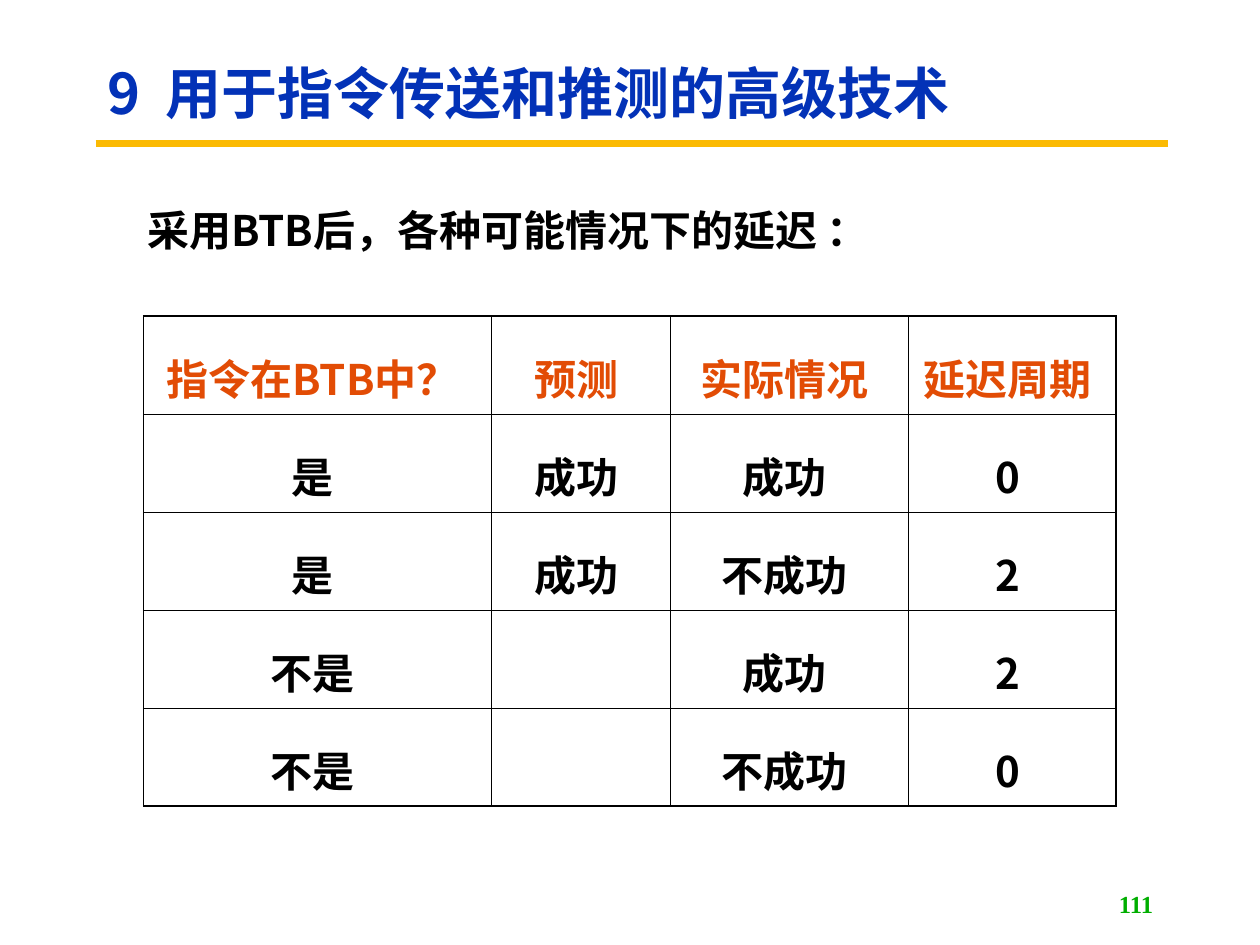
"""Build a slide on branch delays when a branch target buffer is used."""
from lxml.etree import SubElement
from pptx import Presentation
from pptx.dml.color import RGBColor
from pptx.enum.dml import MSO_FILL
from pptx.enum.shapes import MSO_CONNECTOR
from pptx.enum.text import MSO_ANCHOR, MSO_AUTO_SIZE, PP_ALIGN
from pptx.oxml import parse_xml
from pptx.oxml.ns import nsdecls, qn
from pptx.util import Inches, Pt

COLORS = {
    "title": "0332B7",
    "rule": "FBBA03",
    "number": "00AE00",
    "header": "E24C05",
    "ink": "000000",
}
CJK_FONT = "Noto Sans CJK SC"
COLUMN_WIDTHS = [2.76, 1.42, 1.89, 1.65]
ROW_HEIGHT = 0.77
OUTER_WIDTH, INNER_WIDTH = 1.08, 0.45
DELAYS = [
    ["指令在BTB中？ ", "预测 ", "实际情况 ", "延迟周期 "],
    ["是 ", "成功 ", "成功 ", "0 "],
    ["是 ", "成功 ", "不成功 ", "2 "],
    ["不是 ", "", "成功 ", "2 "],
    ["不是 ", "", "不成功 ", "0 "],
]


def color(name):
    return RGBColor.from_string(COLORS[name])


def write(paragraph, text, ink, size, font=CJK_FONT, **formats):
    for attribute, value in formats.items():
        setattr(paragraph, attribute, value)
    run = paragraph.add_run()
    run.text = text
    for attribute, value in {"name": font, "size": Pt(size), "bold": True}.items():
        setattr(run.font, attribute, value)
    run.font.color.rgb = color(ink)
    properties = run.font._element
    SubElement(properties, qn("a:ea")).set("typeface", font)
    return properties


def set_frame(frame, anchor):
    formats = {
        "word_wrap": True,
        "auto_size": MSO_AUTO_SIZE.NONE,
        "vertical_anchor": anchor,
    }
    for attribute, value in formats.items():
        setattr(frame, attribute, value)
    return frame.paragraphs[0]


def add_title(slide):
    title = slide.shapes.title
    place = {"left": 0.75, "top": 0.36, "width": 7.98, "height": 0.81}
    for attribute, value in place.items():
        setattr(title, attribute, Inches(value))
    heading = set_frame(title.text_frame, MSO_ANCHOR.MIDDLE)
    write(heading, "9", "title", 32, alignment=PP_ALIGN.LEFT, line_spacing=0.9)
    gap = write(heading, " ", "title", 32)
    gap.set("spc", "700")
    write(heading, "用于指令传送和推测的高级技术", "title", 32)


def add_rule(slide):
    rule = slide.shapes.add_connector(
        MSO_CONNECTOR.STRAIGHT, Inches(0.76), Inches(1.14), Inches(9.27), Inches(1.14)
    )
    rule.line.color.rgb = color("rule")
    rule.line.width = Pt(3.75)
    SubElement(rule._element.spPr, qn("a:effectLst"))


def add_text(slide, place, anchor, text, ink, size, **formats):
    box = slide.shapes.add_textbox(*map(Inches, place))
    write(set_frame(box.text_frame, anchor), text, ink, size, **formats)


def set_borders(cell, widths):
    properties = cell._tc.get_or_add_tcPr()
    for position, (side, width) in enumerate(widths.items()):
        border = parse_xml(
            f'<a:ln{side} {nsdecls("a")} w="{Pt(width)}"><a:solidFill>'
            f'<a:srgbClr val="{COLORS["ink"]}"/></a:solidFill></a:ln{side}>'
        )
        properties.insert(position, border)


def add_delay_table(slide):
    last_row, last_column = len(DELAYS) - 1, len(COLUMN_WIDTHS) - 1
    table = slide.shapes.add_table(
        len(DELAYS), len(COLUMN_WIDTHS), Inches(1.14), Inches(2.51),
        Inches(sum(COLUMN_WIDTHS)), Inches(ROW_HEIGHT * len(DELAYS)),
    ).table
    table.first_row = table.horz_banding = False
    for column, width in zip(table.columns, COLUMN_WIDTHS):
        column.width = Inches(width)
    for r, labels in enumerate(DELAYS):
        for c, label in enumerate(labels):
            cell = table.cell(r, c)
            cell.fill.background()
            on_edge = {"L": c == 0, "R": c == last_column, "T": r == 0, "B": r == last_row}
            set_borders(cell, {
                side: OUTER_WIDTH if outer else INNER_WIDTH
                for side, outer in on_edge.items()
            })
            if label:
                write(
                    cell.text_frame.paragraphs[0], label, "ink" if r else "header", 24,
                    alignment=PP_ALIGN.CENTER, line_spacing=1.4,
                )


def main():
    deck = Presentation()
    deck.slide_width, deck.slide_height = Inches(10), Inches(7.5)
    slide = deck.slides.add_slide(deck.slide_layouts[5])
    add_rule(slide)
    add_title(slide)
    add_text(
        slide, (7.17, 7.01, 2.08, 0.32), MSO_ANCHOR.MIDDLE, "111", "number", 14,
        font="Times New Roman", alignment=PP_ALIGN.RIGHT,
    )
    add_delay_table(slide)
    add_text(
        slide, (1.07, 1.62, 7.79, 0.66), MSO_ANCHOR.TOP,
        "采用BTB后，各种可能情况下的延迟 ：", "ink", 24, line_spacing=0.9,
    )
    deck.save("out.pptx")


if __name__ == "__main__":
    main()
